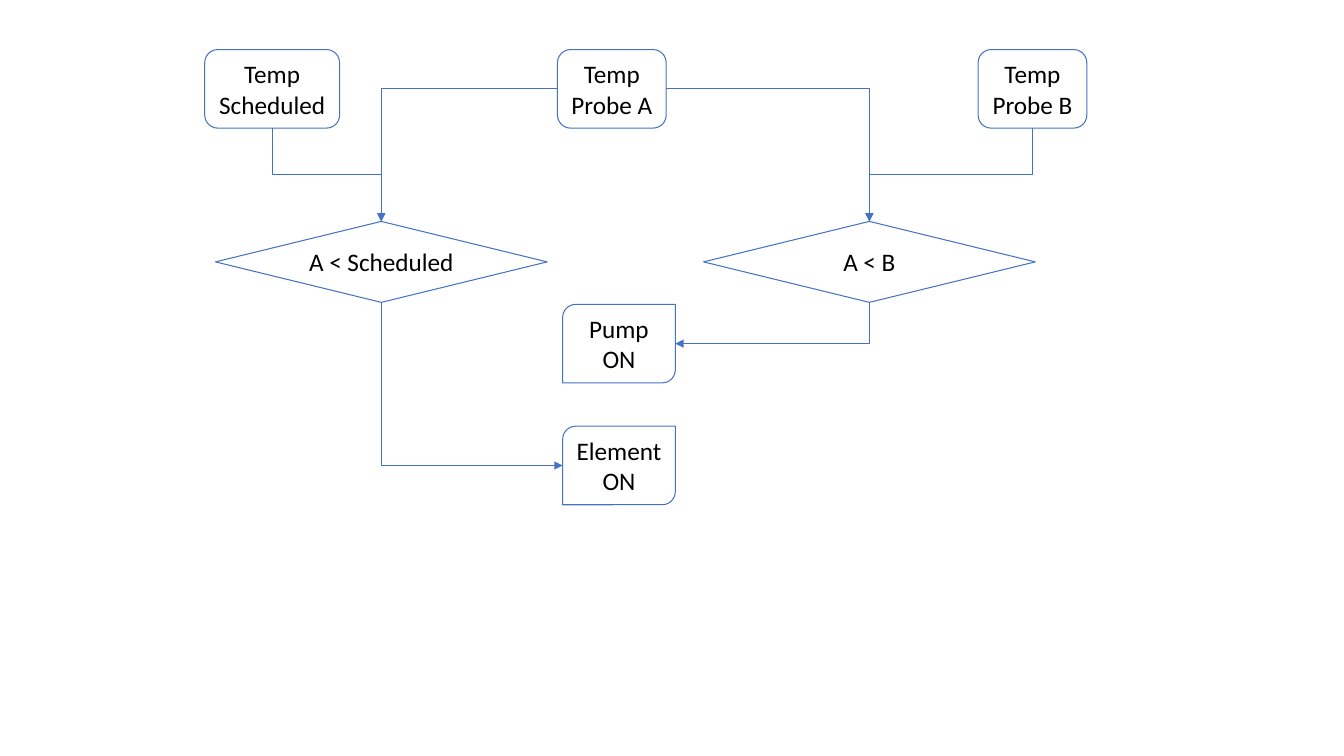
from dataclasses import dataclass

from pptx import Presentation
from pptx import util as u
from pptx.dml.color import RGBColor
from pptx.enum import shapes, text
from pptx.oxml import ns, xmlchemy

COLOURS = {"line": "4472C4", "text": "000000"}
FONT = "Calibri"
ROUNDED = shapes.MSO_SHAPE.ROUNDED_RECTANGLE
DIAMOND = shapes.MSO_SHAPE.DIAMOND
OUTPUT = shapes.MSO_SHAPE.ROUND_2_DIAG_RECTANGLE
SIDES = {"top": (0, -1), "left": (-1, 0), "bottom": (0, 1), "right": (1, 0)}
SITES = {
    ROUNDED: ("top", "left", "bottom", "right"),
    DIAMOND: ("top", "left", "bottom", "right"),
    OUTPUT: ("right", "bottom", "left", "top"),
}


@dataclass(frozen=True)
class Node:
    label: str
    kind: shapes.MSO_SHAPE
    centre_x: float
    centre_y: float
    width: float
    height: float = 1.98
    wrap: bool = False

    def point(self, side: str) -> tuple[float, float]:
        across, down = SIDES[side]
        return (self.centre_x + across * self.width / 2,
                self.centre_y + down * self.height / 2)


@dataclass(frozen=True)
class Arrow:
    source: str
    source_side: str
    target: str
    target_side: str
    bends: int = 1


NODES = {
    "probe_a": Node("Temp\vProbe A", ROUNDED, 15.42, 2.24, 2.74),
    "probe_b": Node("Temp\vProbe B", ROUNDED, 26.02, 2.24, 2.74),
    "below_b": Node("A < B", DIAMOND, 21.91, 6.6, 8.36, 2.04, True),
    "pump": Node("Pump\vON", OUTPUT, 15.6, 8.66, 2.84, wrap=True),
    "scheduled": Node("Temp\vScheduled", ROUNDED, 6.86, 2.24, 3.4),
    "below_scheduled": Node("A < Scheduled", DIAMOND, 9.61, 6.6, 8.36, 2.04),
    "element": Node("Element\vON", OUTPUT, 15.6, 11.73, 2.84),
}
ARROWS = [
    Arrow("below_b", "bottom", "pump", "right"),
    Arrow("scheduled", "bottom", "below_scheduled", "top", 2),
    Arrow("probe_a", "left", "below_scheduled", "top"),
    Arrow("probe_a", "right", "below_b", "top"),
    Arrow("probe_b", "bottom", "below_b", "top", 2),
    Arrow("below_scheduled", "bottom", "element", "left"),
]


def draw_node(page, node: Node):
    box = page.shapes.add_shape(
        node.kind,
        u.Cm(node.centre_x - node.width / 2), u.Cm(node.centre_y - node.height / 2),
        u.Cm(node.width), u.Cm(node.height))
    box.shadow.inherit = False
    box.fill.background()
    box.line.color.rgb = RGBColor.from_string(COLOURS["line"])
    box.line.width = u.Pt(0.75)
    frame = box.text_frame
    frame.text = node.label
    frame.word_wrap = node.wrap
    frame.auto_size = text.MSO_AUTO_SIZE.SHAPE_TO_FIT_TEXT
    frame.vertical_anchor = text.MSO_ANCHOR.MIDDLE
    para = frame.paragraphs[0]
    para.alignment = text.PP_ALIGN.CENTER
    para.font.name = FONT
    para.font.size = u.Pt(18)
    para.font.color.rgb = RGBColor.from_string(COLOURS["text"])
    return box


def draw_arrow(page, arrow: Arrow, boxes: dict) -> None:
    source, target = NODES[arrow.source], NODES[arrow.target]
    start_x, start_y = source.point(arrow.source_side)
    end_x, end_y = target.point(arrow.target_side)
    connector = page.shapes.add_connector(
        shapes.MSO_CONNECTOR.ELBOW,
        u.Cm(start_x), u.Cm(start_y), u.Cm(end_x), u.Cm(end_y))
    connector.begin_connect(
        boxes[arrow.source], SITES[source.kind].index(arrow.source_side))
    connector.end_connect(
        boxes[arrow.target], SITES[target.kind].index(arrow.target_side))

    width, height = abs(end_x - start_x), abs(end_y - start_y)
    leftward = end_x < start_x
    vertical = arrow.source_side == "bottom"
    if vertical:
        width, height = height, width
    connector.left = u.Cm((start_x + end_x - width) / 2)
    connector.top = u.Cm((start_y + end_y - height) / 2)
    connector.width, connector.height = u.Cm(width), u.Cm(height)
    properties = connector.element.spPr
    transform = properties.xfrm
    transform.rot = (90 if leftward else 270) if vertical else 0
    transform.flipH = leftward != vertical
    transform.flipV = False
    properties.find(ns.qn("a:prstGeom")).set("prst", f"bentConnector{arrow.bends + 1}")

    connector.line.color.rgb = RGBColor.from_string(COLOURS["line"])
    connector.line.width = u.Pt(0.5)
    head = xmlchemy.OxmlElement("a:tailEnd")
    head.set("type", "triangle")
    connector.line._get_or_add_ln().append(head)
    properties.append(xmlchemy.OxmlElement("a:effectLst"))


def main() -> None:
    deck = Presentation()
    deck.slide_width, deck.slide_height = u.Cm(33.87), u.Cm(19.05)
    page = deck.slides.add_slide(deck.slide_layouts[6])
    boxes = {name: draw_node(page, node) for name, node in NODES.items()}
    for arrow in ARROWS:
        draw_arrow(page, arrow, boxes)
    deck.save("out.pptx")


main()
